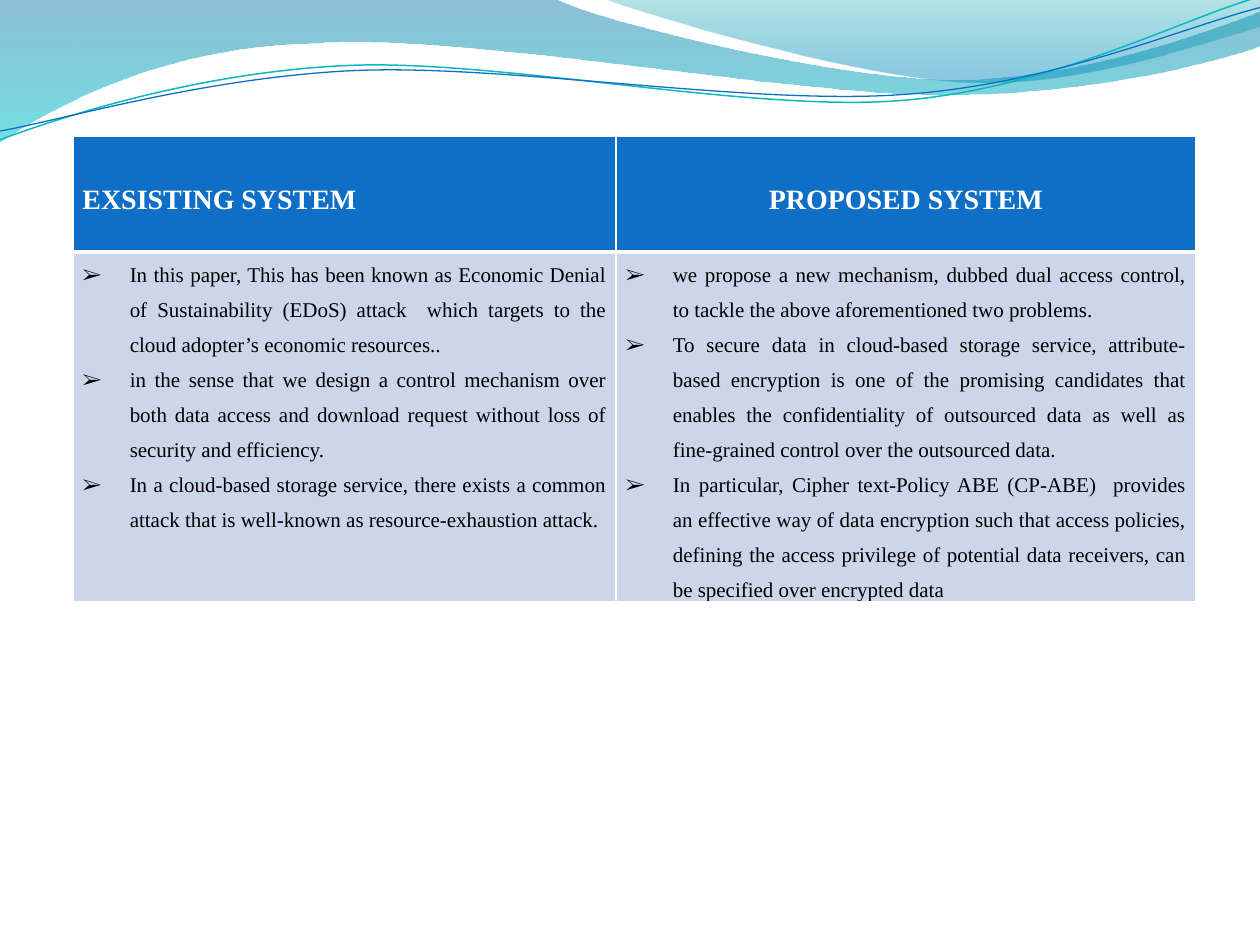
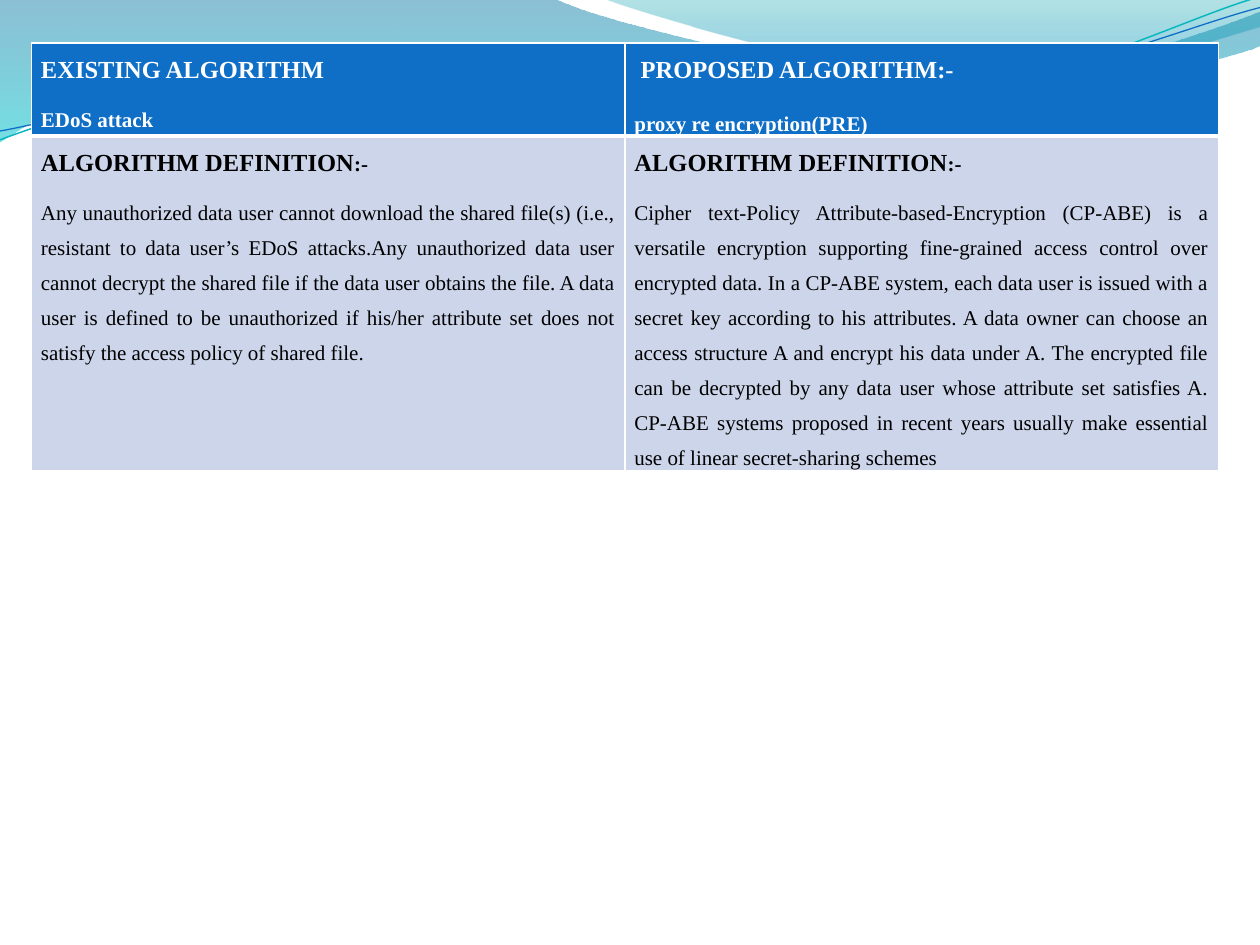
import dataclasses

import lxml.etree
import pptx
import pptx.dml.color
import pptx.enum.text
import pptx.oxml.ns
import pptx.util

Inches = pptx.util.Inches
Pt = pptx.util.Pt
Align = pptx.enum.text.PP_ALIGN
qn = pptx.oxml.ns.qn


@dataclasses.dataclass(frozen=True)
class Theme:
    font: str = "Times New Roman"
    blue: str = "0F6FC6"
    teal: str = "0AB8BF"
    pale: str = "CCD5EA"
    white: str = "FFFFFF"
    black: str = "000000"
    title_size: int = 16
    heading_size: int = 14
    body_size: int = 12
    cell_margin: float = 5.4
    bullet_indent: int = 27
    thin: float = 1
    thick: float = 3


THEME = Theme()

# Each outline is a start point followed by lines (2 numbers) and curves (6 numbers).
LEFT_WAVE = [
    (0, 0), (4.4, -0.01),
    (4.76, 0.17, 6.64, 0.63, 7.58, 0.63), (8.53, 0.63, 9.58, 0.26, 10, 0.09),
    (10.01, 0.36),
    (9.83, 0.44, 8.7, 0.76, 7.46, 0.75), (6.22, 0.75, 3.82, 0.28, 2.57, 0.34),
    (1.29, 0.36, 0.46, 0.83, -0.01, 1.13), (0, 0),
]
RIGHT_WAVE = [
    (4.79, -0.01),
    (5.09, 0.11, 6.82, 0.62, 7.69, 0.65), (8.56, 0.69, 9.61, 0.32, 10, 0.21),
    (10, 0), (4.79, -0.01),
]
TEAL_LINE = [
    (0, 1.11),
    (0.48, 0.93, 1.58, 0.57, 2.77, 0.52), (3.95, 0.47, 5.93, 0.89, 7.13, 0.8),
    (8.33, 0.71, 9.38, 0.15, 9.98, -0.02),
]
BLUE_LINE = [
    (0, 1.04),
    (0.47, 0.96, 1.64, 0.61, 2.83, 0.56), (4.03, 0.51, 5.97, 0.84, 7.17, 0.75),
    (8.36, 0.67, 9.41, 0.21, 10, 0.06),
]
# Gradient stops: position, colour, opacity in percent.
LEFT_STOPS = [(0, "0074A1", 45), (1, "00C6CF", 55)]
RIGHT_STOPS = [(0, "00A1A9", 30), (0.8, "008BBF", 45)]


def rgb(value):
    return pptx.dml.color.RGBColor.from_string(value)


def add_outline(page, outline, close):
    """Lay all points as lines, then merge each three points of a curve into one Bézier."""
    points = [(Inches(x), Inches(y)) for segment in outline
              for x, y in zip(segment[::2], segment[1::2])]
    builder = page.shapes.build_freeform(*points[0], scale=1.0)
    builder.add_line_segments(points[1:], close=close)
    shape = builder.convert_to_shape()
    shape.shadow.inherit = False
    lines = iter(list(shape._element.iter(qn("a:lnTo"))))
    for segment in outline[1:]:
        line = next(lines)
        if len(segment) == 6:
            curve = lxml.etree.Element(qn("a:cubicBezTo"))
            line.addprevious(curve)
            for part in (line, next(lines), next(lines)):
                curve.append(part[0])
                part.getparent().remove(part)
    return shape


def add_wave(page, outline, stops):
    wave = add_outline(page, outline, close=True)
    wave.line.fill.background()
    wave.fill.gradient()
    wave.fill.gradient_angle = 270
    for stop, (position, color, opacity) in zip(wave.fill.gradient_stops, stops):
        stop.position = position
        stop.color.rgb = rgb(color)
    tones = wave.fill._xPr.iter(qn("a:srgbClr"))
    for tone, (position, color, opacity) in zip(tones, stops):
        lxml.etree.SubElement(tone, qn("a:alpha"), val=str(opacity * 1000))


def add_wave_line(page, outline, color, width):
    curve = add_outline(page, outline, close=False)
    curve.fill.background()
    curve.line.color.rgb = rgb(color)
    curve.line.width = Pt(width)


def add_wave_band(page):
    add_wave(page, LEFT_WAVE, LEFT_STOPS)
    add_wave(page, RIGHT_WAVE, RIGHT_STOPS)
    add_wave_line(page, TEAL_LINE, THEME.teal, 0.85)
    add_wave_line(page, BLUE_LINE, THEME.blue, 0.75)


def write(para, *spans, align=Align.JUSTIFY, spacing=1.5, after=0, bullet=None,
          indent=0, color=THEME.black, bold=False, size=THEME.body_size):
    """Fill a paragraph; a span is text, or text with its own size and weight."""
    para.alignment = align
    para.line_spacing = spacing
    para.space_before = Pt(0)
    para.space_after = Pt(after)
    properties = para._p.get_or_add_pPr()
    properties.set("marL", str(Pt(indent)))
    if bullet:
        properties.set("indent", str(-Pt(indent)))
        lxml.etree.SubElement(properties, qn("a:buFont"), typeface=THEME.font)
        lxml.etree.SubElement(properties, qn("a:buChar"), char=bullet)
    for part in spans:
        text, part_size, part_bold = (part, size, bold) if isinstance(part, str) else part
        span = para.add_run()
        span.text = text
        span.font.name = THEME.font
        span.font.size = Pt(part_size)
        span.font.bold = part_bold
        span.font.color.rgb = rgb(color)


def write_all(cell, entries):
    """Write one paragraph for each (spans, format) entry."""
    frame = cell.text_frame
    for index, (spans, style) in enumerate(entries):
        para = frame.add_paragraph() if index else frame.paragraphs[0]
        write(para, *spans, **style)


def style_cell(cell, fill, top, bottom):
    properties = cell._tc.get_or_add_tcPr()
    edges = {"L": THEME.thin, "R": THEME.thin, "T": top, "B": bottom}
    for edge, width in edges.items():
        border = lxml.etree.SubElement(properties, qn("a:ln" + edge), w=str(Pt(width)))
        solid = lxml.etree.SubElement(border, qn("a:solidFill"))
        lxml.etree.SubElement(solid, qn("a:srgbClr"), val=THEME.white)
    cell.fill.solid()
    cell.fill.fore_color.rgb = rgb(fill)
    cell.margin_left = cell.margin_right = Pt(THEME.cell_margin)
    cell.margin_top = cell.margin_bottom = 0


def add_comparison(page, left, top, widths, heights):
    """Add a header row over a body row and return the table."""
    box = [Inches(value) for value in (left, top, sum(widths), sum(heights))]
    table = page.shapes.add_table(2, 2, *box).table
    table.horz_banding = False
    for column, width in zip(table.columns, widths):
        column.width = Inches(width)
    for row, height in zip(table.rows, heights):
        row.height = Inches(height)
    for column in range(2):
        style_cell(table.cell(0, column), THEME.blue, THEME.thin, THEME.thick)
        style_cell(table.cell(1, column), THEME.pale, THEME.thick, THEME.thin)
    return table


def build_systems_page(page):
    add_wave_band(page)
    table = add_comparison(page, 0.58, 1.08, (4.31, 4.6), (0.92, 2.76))
    titles = [("EXSISTING SYSTEM", Align.LEFT), ("PROPOSED SYSTEM", Align.CENTER)]
    points = [
        [
            "In this paper, This has been known as Economic Denial of Sustainability (EDoS) "
            "attack  which targets to the cloud adopter’s economic resources..",
            "in the sense that we design a control mechanism over both data access and "
            "download request without loss of security and efficiency.",
            "In a cloud-based storage service, there exists a common attack that is "
            "well-known as resource-exhaustion attack.",
        ],
        [
            "we propose a new mechanism, dubbed dual access control, to tackle the above "
            "aforementioned two problems.",
            "To secure data in cloud-based storage service, attribute-based encryption is "
            "one of the promising candidates that enables the confidentiality of outsourced "
            "data as well as fine-grained control over the outsourced data.",
            "In particular, Cipher text-Policy ABE (CP-ABE)  provides an effective way of "
            "data encryption such that access policies, defining the access privilege of "
            "potential data receivers, can be specified over encrypted data",
        ],
    ]
    bulleted = {"bullet": "➢", "indent": THEME.bullet_indent}
    for column, (title, align) in enumerate(titles):
        header = table.cell(0, column)
        header.margin_top = Inches(0.35)
        write(header.text_frame.paragraphs[0], title, align=align, spacing=1.15, after=10,
              color=THEME.white, bold=True, size=THEME.title_size)
        write_all(table.cell(1, column), [([point], bulleted) for point in points[column]])


def build_algorithms_page(page):
    add_wave_band(page)
    table = add_comparison(page, 0.25, 0.34, (4.71, 4.71), (0.72, 2.64))
    headers = [
        ("EXISTING ALGORITHM", "EDoS attack", {"after": 8}),
        ("PROPOSED ALGORITHM:-", "proxy re encryption(PRE)", {"after": 10, "indent": 3.6}),
    ]
    definitions = [
        "Any unauthorized data user cannot download the shared file(s) (i.e., resistant to "
        "data user’s EDoS attacks.Any unauthorized data user cannot decrypt the shared file "
        "if the data user obtains the file. A data user is defined to be unauthorized if "
        "his/her attribute set does not satisfy the access policy of shared file.",
        "Cipher text-Policy Attribute-based-Encryption (CP-ABE) is a versatile encryption "
        "supporting fine-grained access control over encrypted data. In a CP-ABE system, "
        "each data user is issued with a secret key according to his attributes. A data "
        "owner can choose an access structure A and encrypt his data under A. The encrypted "
        "file can be decrypted by any data user whose attribute set satisfies A. CP-ABE "
        "systems proposed in recent years usually make essential use of linear "
        "secret-sharing schemes",
    ]
    heading = [("ALGORITHM DEFINITION", THEME.heading_size, True),
               (":-", THEME.body_size, True)]
    light = {"color": THEME.white, "bold": True}
    for column, (title, name, style) in enumerate(headers):
        write_all(table.cell(0, column), [
            ([title], {**light, **style, "size": THEME.heading_size}),
            ([name], {**light, "after": 8}),
        ])
        write_all(table.cell(1, column), [
            (heading, {"after": 8}),
            ([definitions[column]], {"after": 8}),
        ])


def main():
    deck = pptx.Presentation()
    deck.slide_width, deck.slide_height = Inches(10), Inches(7.5)
    for build in (build_systems_page, build_algorithms_page):
        build(deck.slides.add_slide(deck.slide_layouts[6]))
    deck.save("out.pptx")


if __name__ == "__main__":
    main()
